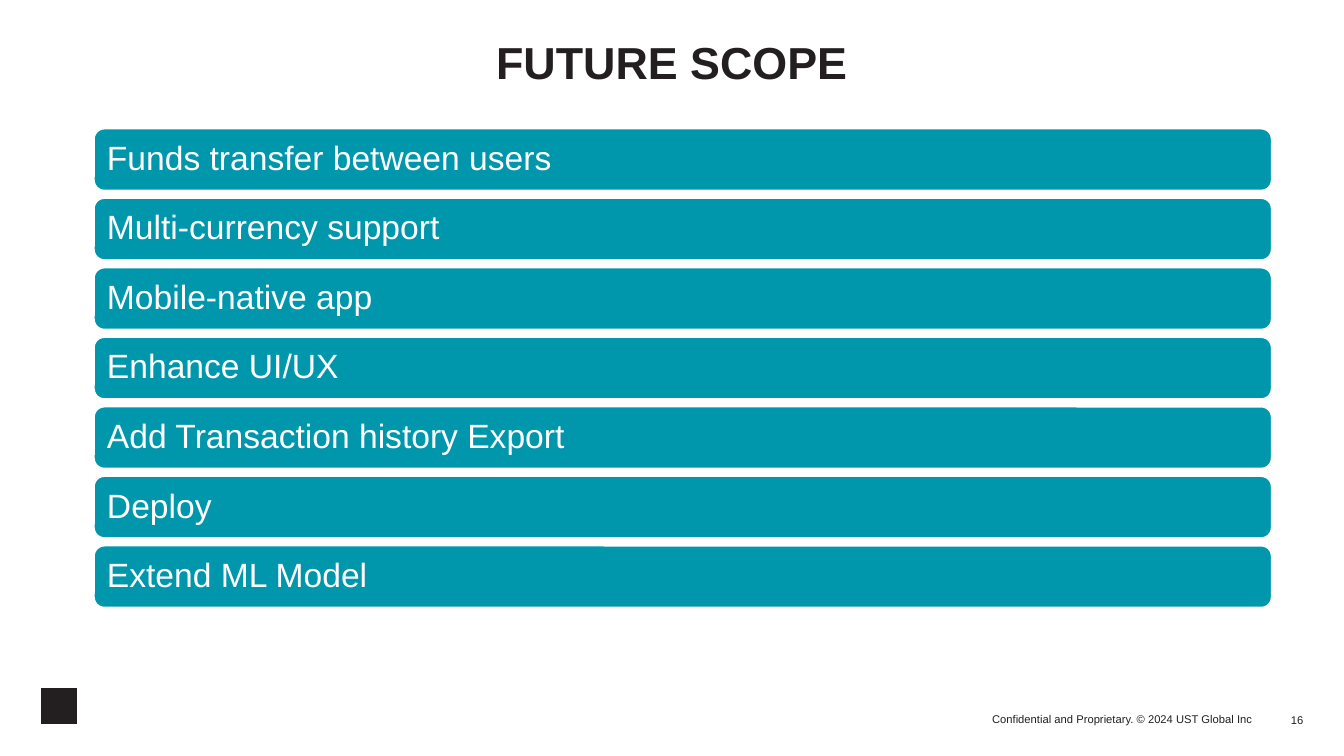
from pptx import Presentation
from pptx.dml.color import RGBColor
from pptx.enum.shapes import MSO_SHAPE as Shape
from pptx.enum.text import MSO_ANCHOR as Anchor, MSO_AUTO_SIZE as AutoSize, PP_ALIGN as Align
from pptx.util import Pt

SCOPE_ITEMS = [
    "Funds transfer between users",
    "Multi-currency support",
    "Mobile-native app",
    "Enhance UI/UX",
    "Add Transaction history Export",
    "Deploy",
    "Extend ML Model",
]


def color(value):
    return RGBColor.from_string(value)


class ScopePage:
    """Draws the elements of the future scope slide in one shared style."""

    font = "Arial"
    ink = "231F20"
    teal = "0097AC"
    white = "FFFFFF"

    def __init__(self, deck):
        self.page = deck.slides.add_slide(deck.slide_layouts[5])

    def set_text(self, box, text, size, ink, align, anchor, inset=0, bold=False, spacing=None, wrap=True):
        frame = box.text_frame
        frame.auto_size = AutoSize.NONE
        frame.word_wrap = wrap
        frame.vertical_anchor = anchor
        frame.margin_left = frame.margin_right = Pt(inset)
        frame.margin_top = frame.margin_bottom = Pt(inset)
        para = frame.paragraphs[0]
        para.text = text
        para.alignment = align
        para.line_spacing = spacing
        para.space_before = Pt(0)
        para.font.name = self.font
        para.font.size = Pt(size)
        para.font.bold = bold
        para.font.color.rgb = color(ink)

    def title(self, text, left, top, width, height):
        box = self.page.shapes.title
        box.left, box.top, box.width, box.height = Pt(left), Pt(top), Pt(width), Pt(height)
        self.set_text(box, text, 32, self.ink, Align.CENTER, Anchor.TOP, bold=True, spacing=0.9)

    def block(self, kind, left, top, width, height, fill):
        box = self.page.shapes.add_shape(kind, Pt(left), Pt(top), Pt(width), Pt(height))
        box.shadow.inherit = False
        box.fill.solid()
        box.fill.fore_color.rgb = color(fill)
        box.line.color.rgb = color(self.white)
        box.line.width = Pt(1)
        return box

    def bar(self, text, left, top, width, height):
        box = self.block(Shape.ROUNDED_RECTANGLE, left, top, width, height, self.teal)
        self.set_text(box, text, 24, self.white, Align.LEFT, Anchor.MIDDLE, inset=7.2, spacing=0.9)

    def footer(self, text, left, top, width, height):
        box = self.page.shapes.add_textbox(Pt(left), Pt(top), Pt(width), Pt(height))
        self.set_text(box, text, 8, self.ink, Align.RIGHT, Anchor.BOTTOM, wrap=False)

    def emblem(self, left, top, side):
        self.block(Shape.RECTANGLE, left, top, side, side, self.ink)


def main():
    deck = Presentation()
    deck.slide_width, deck.slide_height = Pt(960), Pt(540)
    page = ScopePage(deck)
    page.title("FUTURE SCOPE", 28.8, 28.8, 902.2, 72)
    for row, item in enumerate(SCOPE_ITEMS):
        page.bar(item, 67.2, 92 + row * 49.65, 841, 44)
    page.emblem(28.8, 491, 27)
    page.footer("Confidential and Proprietary. © 2024 UST Global Inc", 647.3, 504, 247.5, 14.4)
    page.footer("16", 895, 497.5, 36, 21.6)
    deck.save("out.pptx")


if __name__ == "__main__":
    main()
